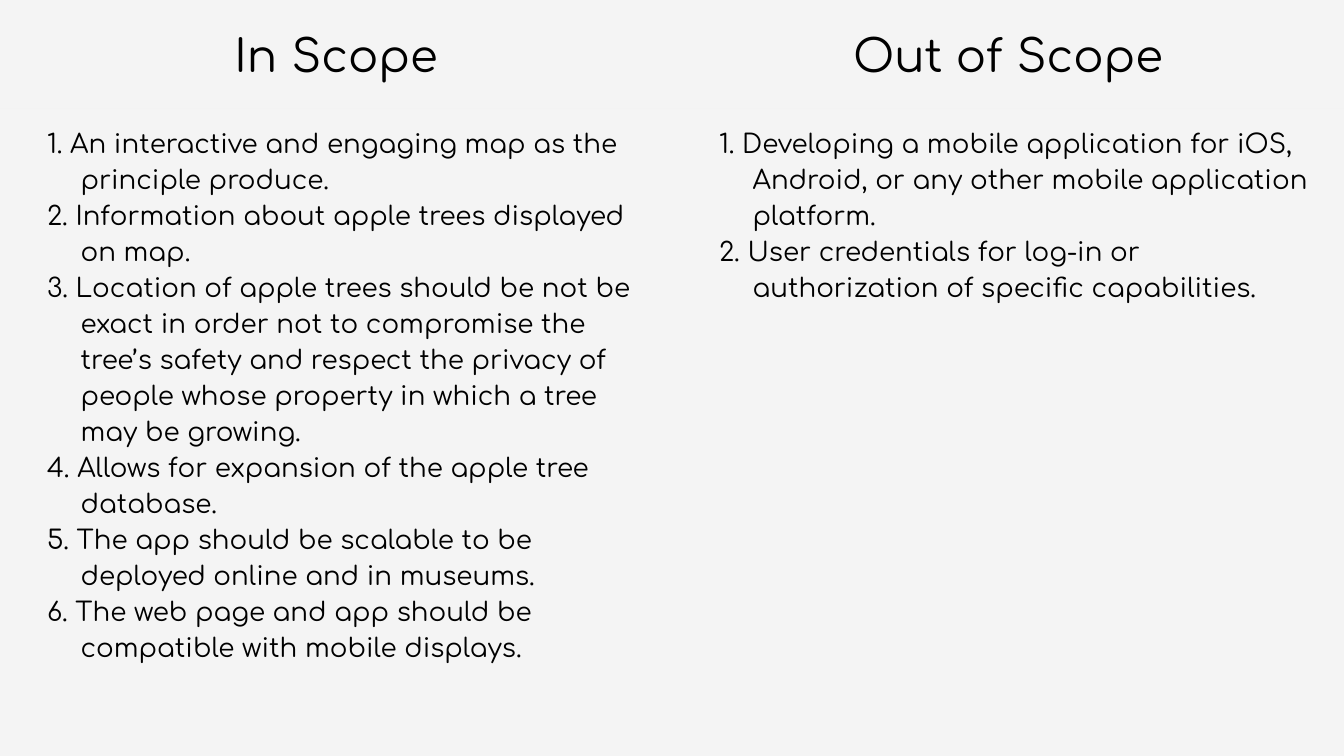
from lxml.etree import SubElement
from pptx import Presentation
from pptx.dml.color import RGBColor
from pptx.enum.text import MSO_ANCHOR, MSO_AUTO_SIZE, PP_ALIGN
from pptx.oxml.ns import qn
from pptx.util import Inches, Pt

WIDE = 10
HIGH = WIDE * 9 / 16     # widescreen
COL = WIDE / 2           # two equal columns
TOP, SPLIT = -0.02, 0.81  # top of headings, top of lists
FACE = "Comfortaa"

INSIDE = [
    "An interactive and engaging map as the principle produce.",
    "Information about apple trees displayed on map.",
    "Location of apple trees should be not be exact in order not to compromise "
    "the tree’s safety and respect the privacy of people whose property in "
    "which a tree may be growing.",
    "Allows for expansion of the apple tree database.",
    "The app should be scalable to be deployed online and in museums.",
    "The web page and app should be compatible with mobile displays.",
]
OUTSIDE = [
    "Developing a mobile application for iOS, Android, or any other mobile "
    "application platform.",
    "User credentials for log-in or authorization of specific capabilities.",
]


def color(code):
    return RGBColor.from_string(code)


def apply(item, style):
    for name, value in style.items():
        setattr(item, name, value)


def panel(holder, col, top, end):
    """Place a placeholder in a column with a translucent grey fill."""
    apply(holder, {"left": Inches(col * COL), "top": Inches(top),
                   "width": Inches(COL), "height": Inches(end - top)})
    holder.fill.solid()
    holder.fill.fore_color.rgb = color("EEEEEE")
    tint = holder.fill._xPr.find(".//" + qn("a:srgbClr"))
    SubElement(tint, qn("a:alpha"), val="63000")
    frame = holder.text_frame
    edges = ("left", "top", "right", "bottom")
    apply(frame, {f"margin_{edge}": Inches(0.1) for edge in edges})
    apply(frame, {"word_wrap": True, "auto_size": MSO_AUTO_SIZE.NONE,
                  "vertical_anchor": MSO_ANCHOR.TOP})
    return frame


def indent(para, left, hang):
    props = para._p.get_or_add_pPr()
    props.set("marL", str(Inches(left)))
    props.set("indent", str(Inches(hang)))
    SubElement(props, qn("a:buNone"))


def write(para, text, size, face=FACE):
    run = para.add_run()
    run.text = text
    apply(run.font, {"size": Pt(size), "name": face, "bold": False})
    run.font.color.rgb = color("000000")


def heading(holder, col, first, last):
    para = panel(holder, col, TOP, SPLIT).paragraphs[0]
    apply(para, {"alignment": PP_ALIGN.CENTER, "line_spacing": 1.15,
                 "space_before": Pt(12)})
    indent(para, 0, 0)
    write(para, first, 24)
    write(para, " ", 28, "Arial")
    write(para, last, 24)


def points(holder, col, items):
    frame = panel(holder, col, SPLIT, HIGH)
    for num, text in enumerate(items, 1):
        para = frame.paragraphs[0] if num == 1 else frame.add_paragraph()
        apply(para, {"alignment": PP_ALIGN.LEFT, "line_spacing": 1.15,
                     "space_before": Pt(0), "space_after": Pt(0)})
        indent(para, 0.5, -0.25)
        write(para, f"{num}. {text}", 14)


def main():
    deck = Presentation()
    apply(deck, {"slide_width": Inches(WIDE), "slide_height": Inches(HIGH)})
    slide = deck.slides.add_slide(deck.slide_layouts[4])
    slide.background.fill.solid()
    slide.background.fill.fore_color.rgb = color("FFFFFF")

    # The comparison layout has a title, two headings and two lists
    title, spare, left, head, right = slide.placeholders
    spare.element.getparent().remove(spare.element)

    # Left column
    heading(title, 0, "In", "Scope")
    points(left, 0, INSIDE)

    # Right column
    heading(head, 1, "Out of", "Scope")
    points(right, 1, OUTSIDE)

    deck.save("out.pptx")


if __name__ == "__main__":
    main()
